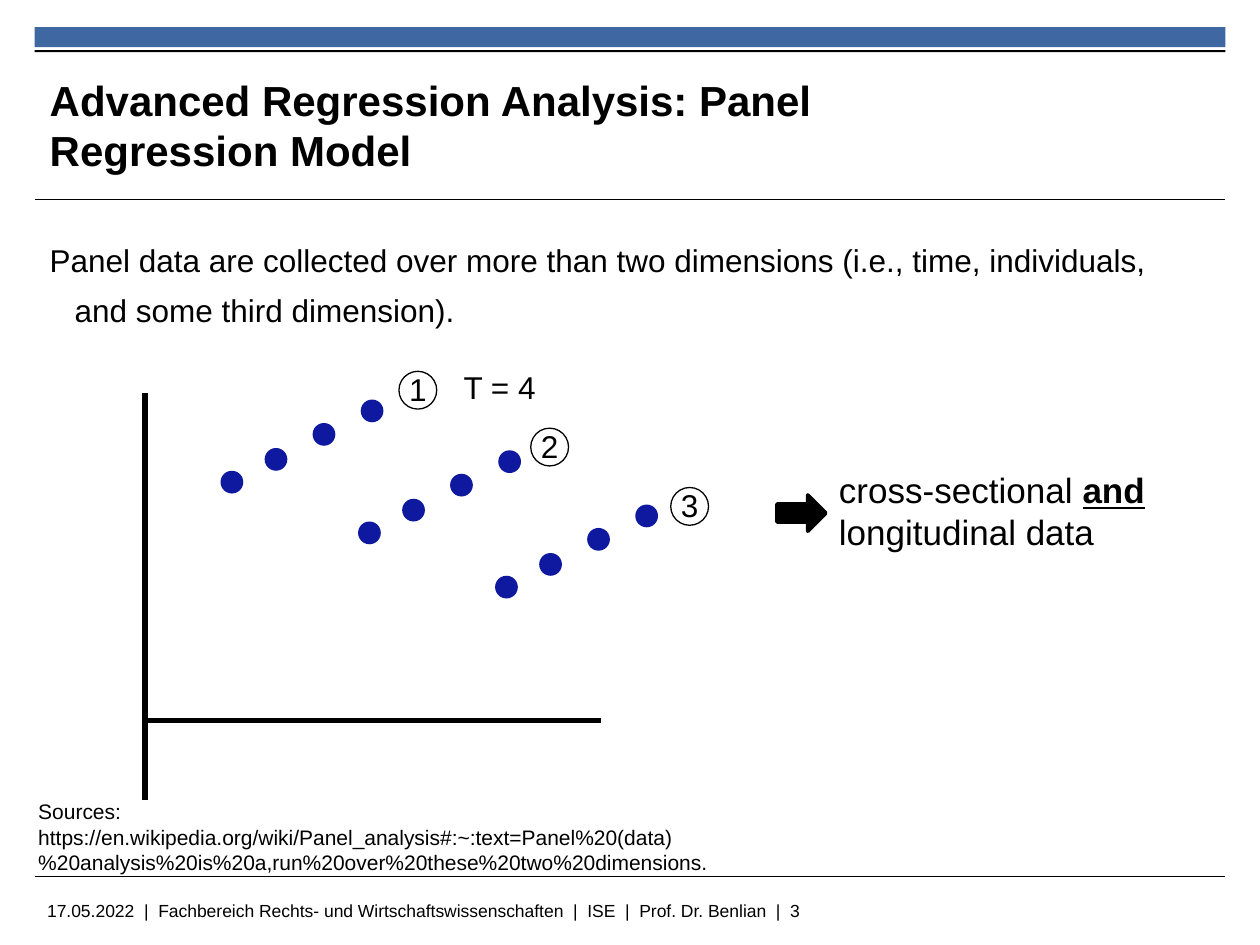
from dataclasses import dataclass

from lxml.etree import SubElement
from pptx import Presentation
from pptx.dml.color import RGBColor as RGB
from pptx.enum.shapes import MSO_CONNECTOR as CONN, MSO_SHAPE as SHAPE
from pptx.enum.text import MSO_ANCHOR as ANCHOR, MSO_AUTO_SIZE as FIT, PP_ALIGN as ALIGN
from pptx.oxml.ns import qn
from pptx.util import Pt


@dataclass(frozen=True)
class Theme:
    font: str = "Arial"
    black: RGB = RGB(0x00, 0x00, 0x00)
    bar: RGB = RGB(0x3F, 0x68, 0xA3)
    dot: RGB = RGB(0x0F, 0x19, 0xA0)
    title: int = 24
    callout: int = 20
    body: int = 18
    source: int = 12
    footer: int = 10


class SlideBuilder:
    def __init__(self, s, theme):
        self.s = s
        self.theme = theme

    def format_text(self, tf, size, bold=False):
        for p in tf.paragraphs:
            for r in p.runs:
                r.font.name = self.theme.font
                r.font.size = Pt(size)
                r.font.bold = bold
                r.font.color.rgb = self.theme.black

    def title(self, text, x, y, w, h):
        sp = self.s.shapes.title
        sp.left, sp.top, sp.width, sp.height = map(Pt, (x, y, w, h))
        tf = sp.text_frame
        tf.text = text
        tf.auto_size = FIT.NONE
        tf.vertical_anchor = ANCHOR.MIDDLE
        tf.margin_left = tf.margin_right = tf.margin_top = tf.margin_bottom = 0
        tf.paragraphs[0].alignment = ALIGN.LEFT
        self.format_text(tf, self.theme.title, bold=True)

    def text(self, text, x, y, w, h, size, margins=(7.2, 7.2)):
        """Add a wrapped text box; margins are left and right."""
        sp = self.s.shapes.add_textbox(*map(Pt, (x, y, w, h)))
        tf = sp.text_frame
        tf.word_wrap = True
        tf.margin_left, tf.margin_right = map(Pt, margins)
        tf.text = text
        self.format_text(tf, size)
        return sp

    def hanging_text(self, text, x, y, w, h, indent):
        sp = self.text(text, x, y, w, h, self.theme.body, margins=(0, 0))
        p = sp.text_frame.paragraphs[0]
        pPr = p._p.get_or_add_pPr()
        pPr.set("marL", str(Pt(indent)))
        pPr.set("indent", str(-Pt(indent)))
        p.line_spacing = 1.3
        p.space_after = Pt(2.3)

    def callout(self, parts, x, y, w, h):
        """Add text from (wording, emphasised) parts."""
        sp = self.text("", x, y, w, h, self.theme.callout)
        tf = sp.text_frame
        for wording, _ in parts:
            tf.paragraphs[0].add_run().text = wording
        self.format_text(tf, self.theme.callout)
        for r, (_, strong) in zip(tf.paragraphs[0].runs, parts):
            r.font.bold = r.font.underline = strong

    def shape(self, kind, x, y, w, h, fill=None, line=None):
        sp = self.s.shapes.add_shape(kind, *map(Pt, (x, y, w, h)))
        sp.shadow.inherit = False
        if fill is None:
            sp.fill.background()
        else:
            sp.fill.solid()
            sp.fill.fore_color.rgb = fill
        if line is None:
            sp.line.fill.background()
        else:
            sp.line.color.rgb = self.theme.black
            sp.line.width = Pt(line)
        return sp

    def line(self, x1, y1, x2, y2, width):
        c = self.s.shapes.add_connector(CONN.STRAIGHT, *map(Pt, (x1, y1, x2, y2)))
        c.line.color.rgb = self.theme.black
        c.line.width = Pt(width)
        SubElement(c._element.spPr, qn("a:effectLst"))

    def badge(self, number, x, y):
        """Add a circled number with the circle's corner at x, y."""
        label = self.text(str(number), x - 1.3, y - 4.2, 18, 29, self.theme.body,
                          margins=(7.2, 0))
        circle = self.shape(SHAPE.OVAL, x, y, 21.6, 21.6, line=0.75)
        self.s.shapes.add_group_shape([label, circle])

    def dots(self, origins, steps, size):
        """Repeat the same row of dots from every origin, as one group."""
        dots = [self.shape(SHAPE.OVAL, x + dx, y + dy, size, size, self.theme.dot)
                for x, y in origins for dx, dy in steps]
        self.s.shapes.add_group_shape(dots)


def main():
    prs = Presentation()
    prs.slide_width, prs.slide_height = Pt(720), Pt(540)
    theme = Theme()
    b = SlideBuilder(prs.slides.add_slide(prs.slide_layouts[5]), theme)

    left, width = 19.8, 680.4
    b.shape(SHAPE.RECTANGLE, left, 15.6, width, 11.4, theme.bar)
    b.shape(SHAPE.RECTANGLE, left, 28.6, width, 1.2, theme.black)
    for y in (114.2, 500.6):
        b.line(left, y, left + width, y, 0.6)
    b.text("17.05.2022  |  Fachbereich Rechts- und Wirtschaftswissenschaften  |  ISE  |  "
           "Prof. Dr. Benlian  |  3", left, 511, 567, 18, theme.footer)

    b.title("Advanced Regression Analysis: Panel Regression Model", 28.4, 38.2, 522.7, 66.2)
    b.hanging_text("Panel data are collected over more than two dimensions "
                   "(i.e., time, individuals, and some third dimension).",
                   28.4, 128, 660, 62.6, indent=14.2)
    b.text("Sources:\nhttps://en.wikipedia.org/wiki/Panel_analysis#:~:text=Panel%20(data)"
           "%20analysis%20is%20a,run%20over%20these%20two%20dimensions.",
           14.8, 453, 657, 51, theme.source)

    axis_x, axis_y = 82.8, 411.6
    b.line(axis_x, 224.6, axis_x, 457, 3)
    b.line(343.4, axis_y, axis_x, axis_y, 3)

    for number, (x, y) in enumerate([(228, 212.2), (303.3, 244.7), (383.3, 278.6)], 1):
        b.badge(number, x, y)
    b.dots(origins=[(126, 269), (204.6, 298), (282.9, 329)],
           steps=[(0, 0), (25.2, -13), (52.6, -27.3), (80.1, -40.7)], size=13)

    b.text("T = 4", 257.8, 206.8, 62.6, 29, theme.body)
    b.callout([("cross-sectional ", False), ("and", True), (" longitudinal data", False)],
              472.3, 264.4, 194.4, 55.4)
    b.shape(SHAPE.RIGHT_ARROW, 444, 282.8, 28, 20.8, theme.black, line=2)

    prs.save("out.pptx")


if __name__ == "__main__":
    main()
